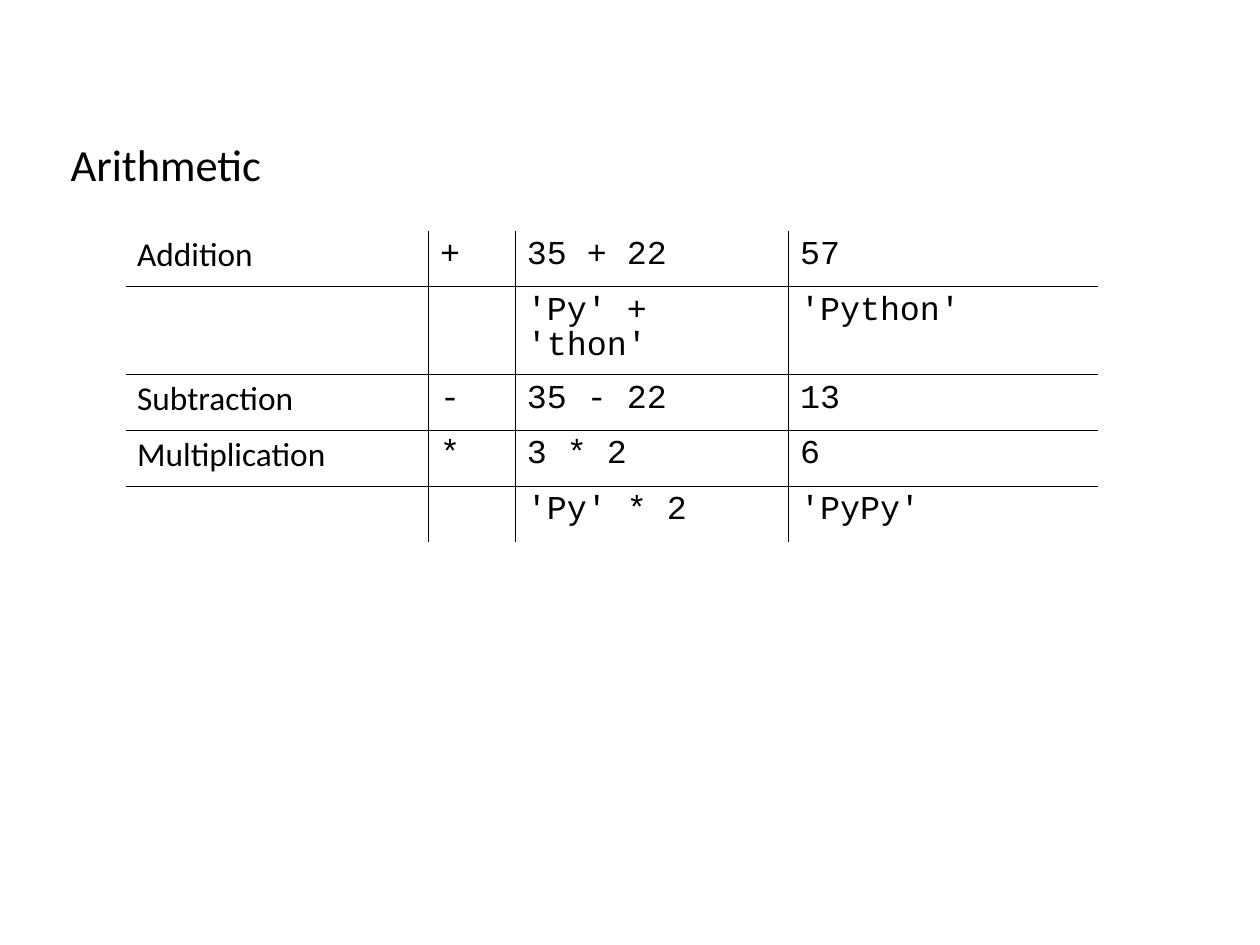
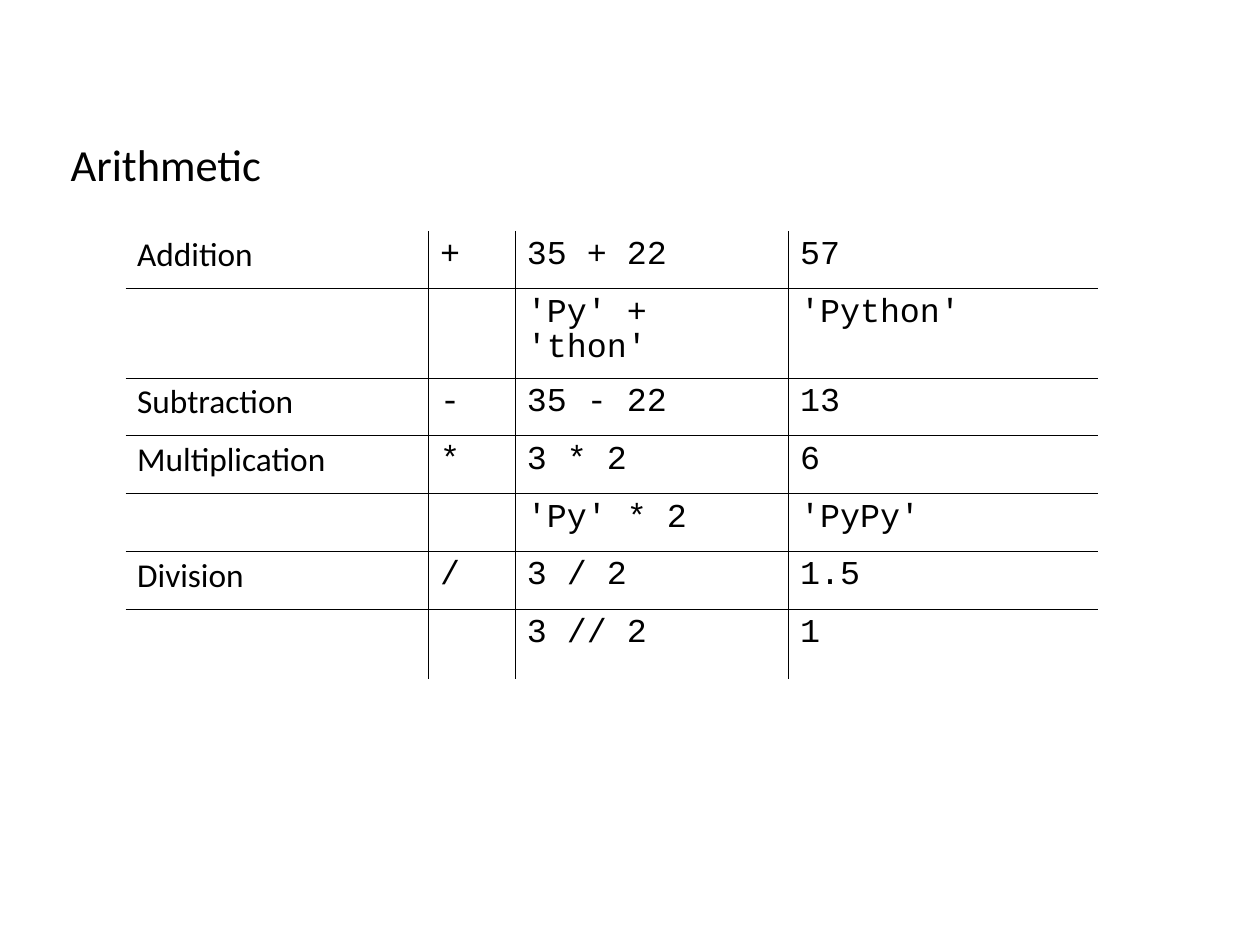
from lxml import etree
from pptx import Presentation
from pptx import util as u
from pptx.dml.color import RGBColor
from pptx.enum import text
from pptx.oxml.ns import qn

# Content
TITLE = "Arithmetic"
BASIC_ROWS = [
    ("Addition", "+", "35 + 22", "57"),
    ("", "", "'Py' + 'thon'", "'Python'"),
    ("Subtraction", "-", "35 - 22", "13"),
    ("Multiplication", "*", "3 * 2", "6"),
    ("", "", "'Py' * 2", "'PyPy'"),
]
DIVISION_ROWS = [
    ("Division", "/", "3 / 2", "1.5"),
    ("", "", "3 // 2", "1"),
]
# Rows without a height of their own share the rest of the table equally
SLIDES = [
    {"rows": BASIC_ROWS, "height": 2.72, "own_heights": {1: 0.77}},
    {"rows": BASIC_ROWS + DIVISION_ROWS, "height": 3.92,
     "own_heights": {1: 0.78, 6: 0.61}},
]

# Shared style
COLORS = {"ink": "000000", "paper": "FFFFFF"}
NAME_FONT, CODE_FONT = "Calibri", "Courier New"
TABLE_LEFT, TABLE_TOP = 1.1, 2.02
COLUMN_WIDTHS = [2.65, 0.76, 2.39, 2.71]
RULE_WIDTH = u.Pt(0.45)


def add_run(paragraph, words, size, font):
    run = paragraph.add_run()
    run.text = words
    run.font.size = u.Pt(size)
    run.font.name = font
    run.font.color.rgb = RGBColor.from_string(COLORS["ink"])


def add_title(slide):
    title = slide.shapes.add_textbox(
        u.Inches(0.52), u.Inches(0.92), u.Inches(2.86), u.Inches(0.8))
    frame = title.text_frame
    frame.word_wrap = True
    frame.auto_size = text.MSO_AUTO_SIZE.SHAPE_TO_FIT_TEXT
    paragraph = frame.paragraphs[0]
    paragraph.line_spacing = 1.5
    add_run(paragraph, TITLE, 28, NAME_FONT)


def add_border(cell, side, visible):
    line = etree.SubElement(cell._tc.get_or_add_tcPr(), qn(f"a:ln{side}"),
                            w=str(RULE_WIDTH))
    if visible:
        fill = etree.SubElement(line, qn("a:solidFill"))
        etree.SubElement(fill, qn("a:srgbClr"), val=COLORS["ink"])
    else:
        etree.SubElement(line, qn("a:noFill"))


def add_operations(slide, rows, height, own_heights):
    table = slide.shapes.add_table(
        len(rows), len(COLUMN_WIDTHS),
        u.Inches(TABLE_LEFT), u.Inches(TABLE_TOP),
        u.Inches(sum(COLUMN_WIDTHS)), u.Inches(height)).table
    table.first_row = table.horz_banding = False
    for column, width in zip(table.columns, COLUMN_WIDTHS):
        column.width = u.Inches(width)
    shared_height = ((height - sum(own_heights.values()))
                     / (len(rows) - len(own_heights)))
    last_row, last_column = len(rows) - 1, len(COLUMN_WIDTHS) - 1

    for r, entries in enumerate(rows):
        table.rows[r].height = u.Inches(own_heights.get(r, shared_height))
        for c, entry in enumerate(entries):
            cell = table.cell(r, c)
            # Rules run between cells only, never round the outside
            inner = {"L": c > 0, "R": c < last_column,
                     "T": r > 0, "B": r < last_row}
            for side, visible in inner.items():
                add_border(cell, side, visible)
            cell.fill.background()
            if entry:
                paragraph = cell.text_frame.paragraphs[0]
                paragraph.line_spacing = 0.93
                paragraph.space_after = u.Pt(14.3)
                add_run(paragraph, entry, 21, CODE_FONT if c else NAME_FONT)


def main():
    deck = Presentation()
    # A 28 by 21 cm page, which is 11.02 by 8.27 inches
    deck.slide_width, deck.slide_height = u.Cm(28), u.Cm(21)
    deck.element.find(qn("p:sldSz")).attrib.pop("type", None)
    for content in SLIDES:
        slide = deck.slides.add_slide(deck.slide_layouts[6])
        background = slide.background.fill
        background.solid()
        background.fore_color.rgb = RGBColor.from_string(COLORS["paper"])
        add_title(slide)
        add_operations(slide, **content)
    deck.save("out.pptx")


if __name__ == "__main__":
    main()
